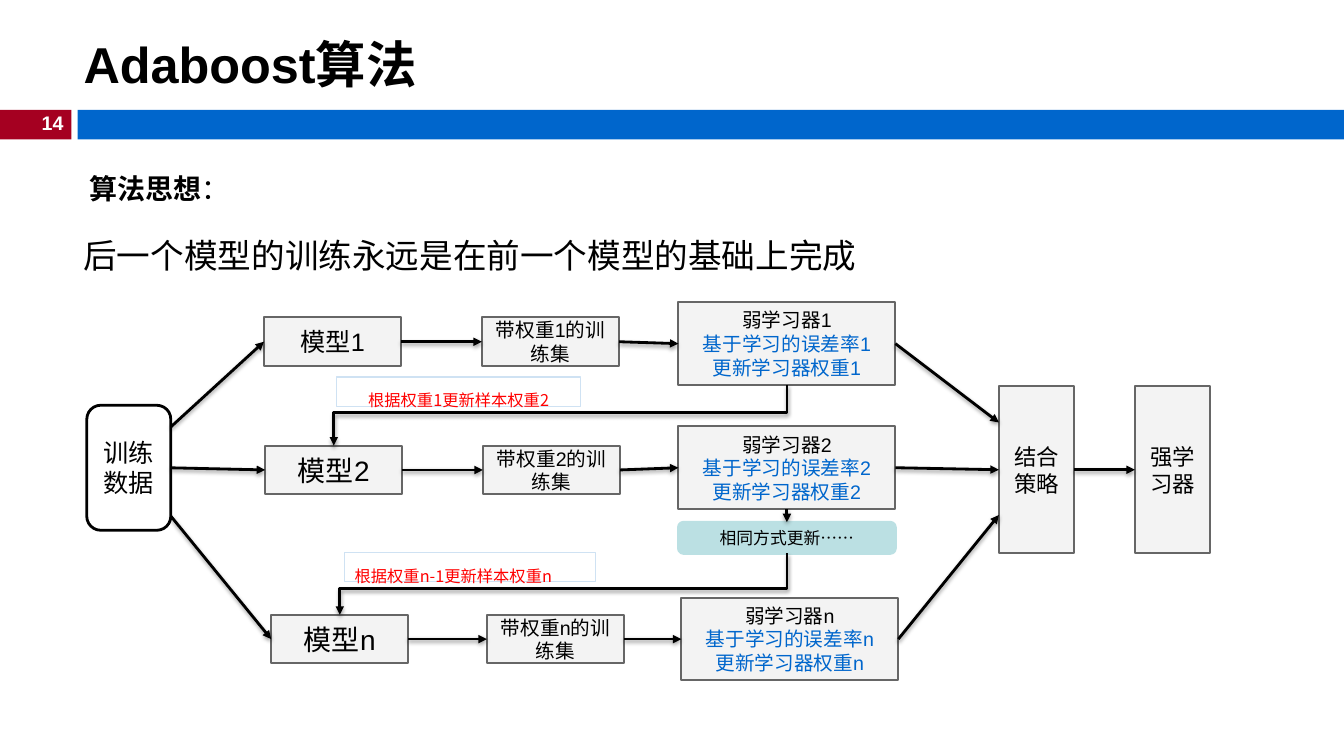
from lxml.etree import SubElement
from pptx import Presentation
from pptx.dml.color import RGBColor
from pptx.enum.shapes import MSO_CONNECTOR, MSO_SHAPE
from pptx.enum.text import MSO_ANCHOR, PP_ALIGN
from pptx.oxml import parse_xml
from pptx.oxml.ns import nsdecls, qn
from pptx.util import Pt

COLORS = {"black": "000000", "white": "FFFFFF", "crimson": "A50021", "blue": "0066CC",
          "panel": "F3F3F3", "gray": "666666", "red": "FF0000", "pale": "CFE2F3", "teal": "BBE0E3"}
LATIN, CHINESE = "Arial", "Noto Sans CJK SC"
TOP, LEFT, BOTTOM, RIGHT = range(4)
SHADOW = (f'<a:effectLst {nsdecls("a")}><a:outerShdw blurRad="39370" dist="20320" dir="5400000" '
          'rotWithShape="0"><a:srgbClr val="000000"><a:alpha val="38000"/></a:srgbClr>'
          '</a:outerShdw></a:effectLst>')


def apply(target, values):
    """Set every attribute named in a dict of format values."""
    for name, value in values.items():
        setattr(target, name, value)


def color(name):
    """Return the named colour."""
    return RGBColor.from_string(COLORS[name])


def place(box, left, top, width, height):
    """Turn an offset within a box into slide lengths."""
    return Pt(box[0] + left), Pt(box[1] + top), Pt(width), Pt(height)


def add_span(para, text, size, font=LATIN, ink="black", bold=False, baseline=None):
    """Add one formatted run to a paragraph."""
    span = para.add_run()
    span.text = text
    span.font.color.rgb = color(ink)
    apply(span.font, {"size": Pt(size), "name": font, "bold": bold})
    properties = span.font._element
    SubElement(properties, qn("a:ea"), typeface=CHINESE)
    if baseline:
        properties.set("baseline", str(baseline))


def write(shape, lines, size, align=PP_ALIGN.LEFT, inks=("black",), frame=None, **span_format):
    """Fill a shape with lines, the last ink serving all further lines."""
    text_frame = shape.text_frame
    apply(text_frame, {"word_wrap": True, **(frame or {})})
    for index, line in enumerate(lines):
        para = text_frame.add_paragraph() if index else text_frame.paragraphs[0]
        para.alignment = align
        add_span(para, line, size, ink=inks[min(index, len(inks) - 1)], **span_format)


def add_box(slide, area, fill=None, line=None, weight=1.5, kind=MSO_SHAPE.RECTANGLE):
    """Add a flat shape with the given fill and outline."""
    shape = slide.shapes.add_shape(kind, *area)
    shape.shadow.inherit = False
    for paint, name in ((shape.fill, fill), (shape.line.fill, line)):
        if name:
            paint.solid()
            paint.fore_color.rgb = color(name)
        else:
            paint.background()
    if line:
        shape.line.width = Pt(weight)
    return shape


def add_panel(slide, area, lines, size, inks=("black",)):
    """Add a gray process box with centred text."""
    panel = add_box(slide, area, "panel", "gray")
    inset = Pt(7.2)
    frame = {"vertical_anchor": MSO_ANCHOR.MIDDLE, "margin_top": inset, "margin_bottom": inset}
    write(panel, lines, size, PP_ALIGN.CENTER, inks, frame)
    return panel


def dress_arrow(arrow):
    """Give a connector its black line, arrowhead and soft shadow."""
    arrow.line.color.rgb = color("black")
    arrow.line.width = Pt(2)
    SubElement(arrow.line._get_or_add_ln(), qn("a:tailEnd"), type="triangle")
    arrow._element.spPr.append(parse_xml(SHADOW))


def add_arrow(slide, begin=None, end=None, free=(0, 0)):
    """Draw a straight arrow between shape sites, a missing one being the free point."""
    point = [Pt(value) for value in free]
    arrow = slide.shapes.add_connector(MSO_CONNECTOR.STRAIGHT, *point, *point)
    if begin:
        arrow.begin_connect(*begin)
    if end:
        arrow.end_connect(*end)
    dress_arrow(arrow)


def add_return_arrow(slide, source, target, bend):
    """Draw a bent arrow from the bottom of one shape to the top of another."""
    start_x, end_x = (shape.left + shape.width // 2 for shape in (source, target))
    start_y, end_y = source.top + source.height, target.top
    middle_x, middle_y = (start_x + end_x) // 2, (start_y + end_y) // 2
    half_width, half_height = (end_y - start_y) // 2, (start_x - end_x) // 2
    arrow = slide.shapes.add_connector(
        MSO_CONNECTOR.ELBOW, middle_x - half_width, middle_y - half_height,
        middle_x + half_width, middle_y + half_height)
    properties = arrow._element.spPr
    properties.find(qn("a:xfrm")).set("rot", "5400000")
    guides = properties.find(qn("a:prstGeom")).get_or_add_avLst()
    SubElement(guides, qn("a:gd"), name="adj1", fmla=f"val {bend}")
    dress_arrow(arrow)


def build_header(slide, box):
    """Place the title, the two bars and the page number."""
    add_box(slide, place(box, 0, 78.5, 51, 21), "crimson")
    add_box(slide, place(box, 55.5, 78.5, box[2] - 55.5, 21), "blue")
    number = slide.shapes.add_textbox(*place(box, 21, 75.6, 31.5, 24.5))
    write(number, ["14"], 14, PP_ALIGN.RIGHT, ["white"], {"word_wrap": False}, bold=True)
    title = slide.shapes.title
    apply(title, dict(zip(("left", "top", "width", "height"), place(box, 52.5, 18.7, 443.5, 53.3))))
    write(title, ["Adaboost算法"], 36, frame={"vertical_anchor": MSO_ANCHOR.MIDDLE}, bold=True)


def build_idea(slide, box):
    """Place the heading and the sentence that states the idea."""
    heading = slide.shapes.add_textbox(*place(box, 4.4, 0, 852.5, 39.6))
    write(heading, ["算法思想"], 20, font=CHINESE, bold=True)
    para = heading.text_frame.paragraphs[0]
    add_span(para, "：", 20, CHINESE)
    apply(para, {"line_spacing": 1.5, "space_after": Pt(9)})
    sentence = slide.shapes.add_textbox(*place(box, 0, 57, 605.5, 36))
    write(sentence, ["后一个模型的训练永远是在前一个模型的基础上完成"], 24)


def build_row(slide, box, label, size, lefts, middle, learner_middle):
    """Place model, weighted data set and weak learner, joined by arrows."""
    model, samples = (
        add_panel(slide, place(box, left, middle - 17.4, 98, 34.8), [text], text_size)
        for left, text, text_size in ((lefts[0], f"模型{label}", size),
                                      (lefts[1], f"带权重{label}的训练集", 14)))
    lines = [f"弱学习器{label}", f"基于学习的误差率{label}", f"更新学习器权重{label}"]
    learner = add_panel(slide, place(box, lefts[2], learner_middle - 29.6, 155, 59.2),
                        lines, 14, ("black", "blue"))
    add_arrow(slide, (model, RIGHT), (samples, LEFT))
    add_arrow(slide, (samples, RIGHT), (learner, LEFT))
    return model, learner


def build_flow(slide, box):
    """Place the boosting diagram."""
    middle_frame = {"vertical_anchor": MSO_ANCHOR.MIDDLE}
    notes = (("根据权重1更新样本权重2", PP_ALIGN.CENTER, (178.5, 53.3, 174.2, 20.9)),
             ("根据权重n-1更新样本权重n", PP_ALIGN.LEFT, (184.2, 178.6, 179.3, 20.9)))
    for text, align, area in notes:
        note = add_box(slide, place(box, *area), line="pale", weight=0.75)
        frame = {"vertical_anchor": MSO_ANCHOR.TOP, "margin_top": Pt(7.2), "margin_bottom": Pt(7.2)}
        write(note, [text], 20, align, ["red"], frame, font=CHINESE, baseline=30000)

    data = add_box(slide, place(box, 0, 73.5, 60, 89.3), "white", "black", 2,
                   MSO_SHAPE.ROUNDED_RECTANGLE)
    write(data, ["训练数据"], 18, PP_ALIGN.CENTER, frame=middle_frame, font=CHINESE)
    strategy, strong = (add_panel(slide, place(box, left, 59.8, 53.5, 119.5), [text], 16)
                        for left, text in ((651.5, "结合策略"), (748.7, "强学习器")))
    update = add_box(slide, place(box, 422.6, 157, 155, 22.3), "teal", "teal", 2,
                     MSO_SHAPE.ROUNDED_RECTANGLE)
    write(update, ["相同方式更新……"], 12, PP_ALIGN.CENTER, frame=middle_frame, font=CHINESE)

    rows = (("1", 18, (126.6, 282.2, 422.6), 28.1, 29.5),
            ("2", 20, (127.4, 282.9, 422.6), 119.7, 118.1),
            ("n", 20, (131.7, 285.8, 424.7), 240.5, 240.5))
    models, learners = zip(*(build_row(slide, box, *row) for row in rows))
    ends = ((60, 89, 85.8), None, (60, 152.6, 151.9))
    for model, learner, heights in zip(models, learners, ends):
        if heights:
            left, data_y, strategy_y = heights
            add_arrow(slide, end=(model, LEFT), free=(box[0] + left, box[1] + data_y))
            arrival = slide.shapes.add_connector(
                MSO_CONNECTOR.STRAIGHT, 0, 0, strategy.left, Pt(box[1] + strategy_y))
            arrival.begin_connect(learner, RIGHT)
            dress_arrow(arrival)
        else:
            add_arrow(slide, (data, RIGHT), (model, LEFT))
            add_arrow(slide, (learner, RIGHT), (strategy, LEFT))
    add_arrow(slide, (learners[1], BOTTOM), (update, TOP))
    add_arrow(slide, (strategy, RIGHT), (strong, LEFT))
    add_return_arrow(slide, learners[0], models[1], 45700)
    add_return_arrow(slide, update, models[2], 57000)


def main():
    """Build the slide and save the deck."""
    deck = Presentation()
    apply(deck, {"slide_width": Pt(960), "slide_height": Pt(540)})
    page = deck.slides.add_slide(deck.slide_layouts[5])
    build_header(page, (0, 0, 960, 100))
    build_idea(page, (52.5, 107.3, 857, 93))
    build_flow(page, (62, 216, 802, 270))
    deck.save("out.pptx")


if __name__ == "__main__":
    main()
